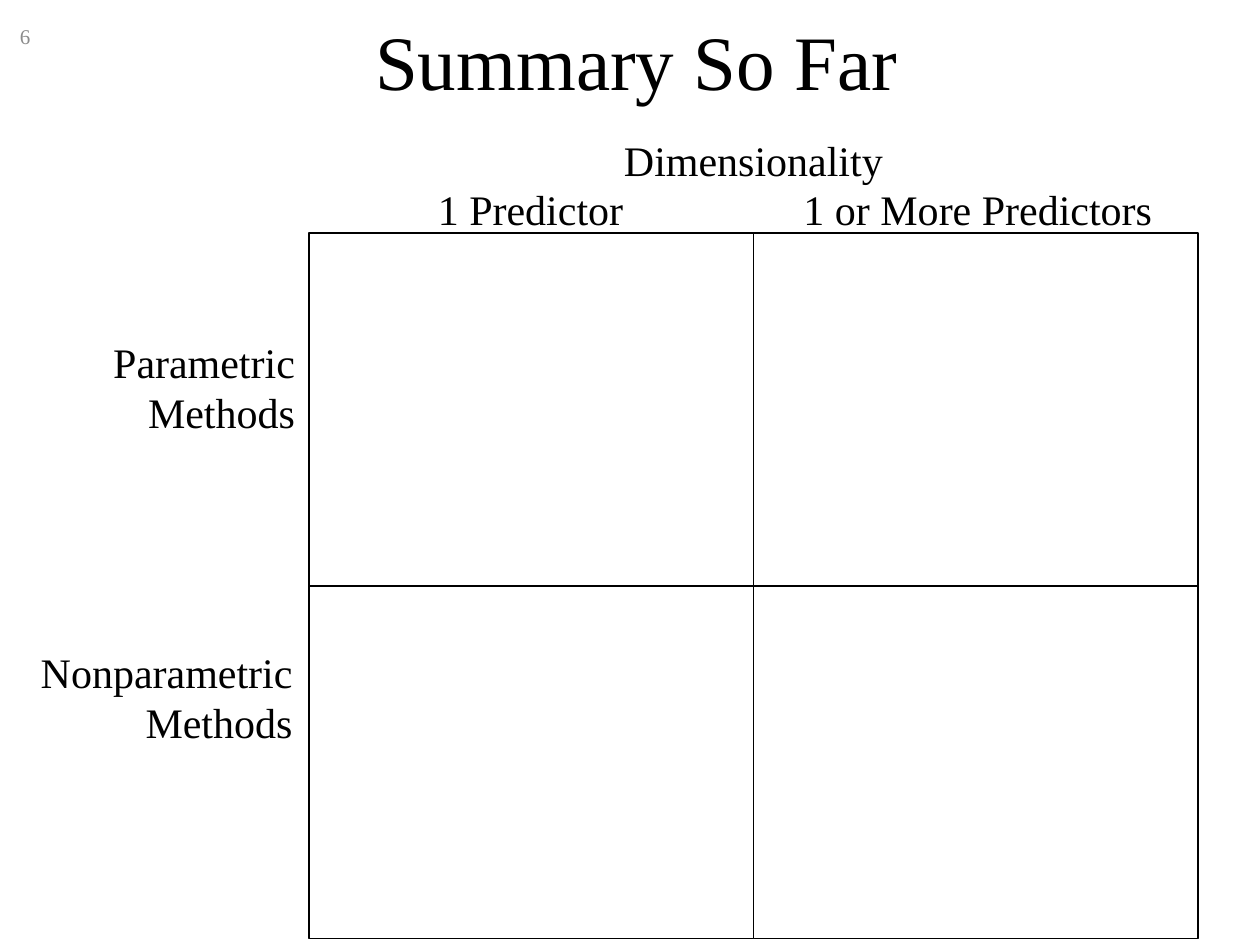
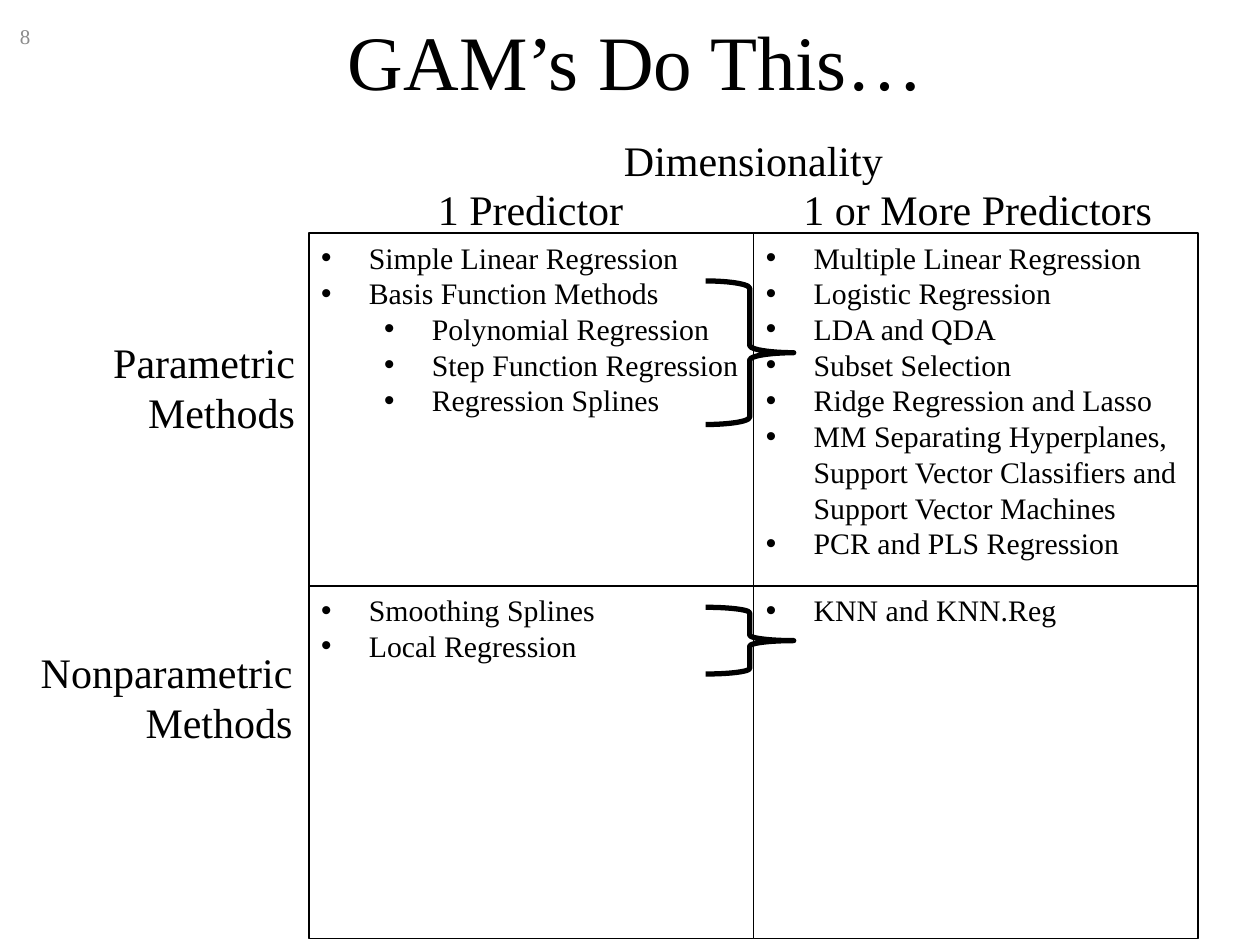
import pptx
import pptx.util
import pptx.dml.color
import pptx.enum.shapes
import pptx.enum.text
import pptx.oxml
import pptx.oxml.ns

Inches, Pt = pptx.util.Inches, pptx.util.Pt
RGB = pptx.dml.color.RGBColor
SHAPE = pptx.enum.shapes.MSO_SHAPE
ALIGN = pptx.enum.text.PP_ALIGN
ANCHOR = pptx.enum.text.MSO_ANCHOR

# Content: each cell lists (level, text), keyed by (row, column)
AXIS = "Dimensionality"
COLS = ["1 Predictor", "1 or More Predictors"]
ROWS = ["Parametric Methods", "Nonparametric Methods"]
SLIDES = [
    {"title": "Summary So Far", "num": "6", "cells": {}, "braces": []},
    {
        "title": "GAM’s Do This…",
        "num": "8",
        "cells": {
            (0, 0): [
                (0, "Simple Linear Regression"),
                (0, "Basis Function Methods"),
                (1, "Polynomial Regression"),
                (1, "Step Function Regression"),
                (1, "Regression Splines"),
            ],
            (0, 1): [
                (0, "Multiple Linear Regression"),
                (0, "Logistic Regression"),
                (0, "LDA and QDA"),
                (0, "Subset Selection"),
                (0, "Ridge Regression and Lasso"),
                (0, "MM Separating Hyperplanes, Support Vector "
                    "Classifiers and Support Vector Machines"),
                (0, "PCR and PLS Regression"),
            ],
            (1, 0): [(0, "Smoothing Splines"), (0, "Local Regression")],
            (1, 1): [(0, "KNN and KNN.Reg")],
        },
        "braces": [(2.23, 1.14), (4.82, 0.53)],  # top, height
    },
]

# Theme and layout, lengths in inches
THEME = {
    "font": "Times New Roman",
    "ink": RGB(0, 0, 0),
    "paper": RGB(255, 255, 255),
    "gray": RGB(0x8C, 0x8C, 0x8C),
    "title": 44, "label": 24, "item": 17, "num": 12,
    "edge": 1, "brace": 3,
}
LEFT, TOP, WIDE, HIGH = 2.45, 1.85, 3.53, 2.8
ROW_BOXES = [(0.66, 2.62, 1.78, 0.91), (0.22, 5.08, 2.2, 0.91)]
COL_BOXES = [(LEFT, 1.41, 3.52, 0.5), (6, 1.41, 3.52, 0.5)]
HANG, STEP = 0.38, 0.5


def style(para, size, align, color="ink"):
    para.alignment = align
    para.font.name = THEME["font"]
    para.font.size = Pt(THEME[size])
    para.font.color.rgb = THEME[color]


def place(shape, box):
    shape.left, shape.top, shape.width, shape.height = map(Inches, box)


def label(slide, text, box, align, size="label", color="ink",
          anchor=ANCHOR.TOP):
    frame = slide.shapes.add_textbox(*map(Inches, box)).text_frame
    frame.word_wrap = True
    frame.vertical_anchor = anchor
    frame.text = text
    style(frame.paragraphs[0], size, align, color)


def bullet(para, level):
    props = para._p.get_or_add_pPr()
    props.set("marL", str(Inches(HANG + STEP * level)))
    props.set("indent", str(Inches(-HANG)))
    for tag, key, val in [("buFont", "typeface", "Arial"),
                          ("buChar", "char", "•")]:
        node = pptx.oxml.ns.qn("a:" + tag)
        props.append(props.makeelement(node, {key: val}))


def outline(slide, kind, box, width):
    shape = slide.shapes.add_shape(kind, *map(Inches, box))
    shape.shadow.inherit = False
    shape.line.color.rgb = THEME["ink"]
    shape.line.width = Pt(THEME[width])
    return shape


def cell(slide, row, col, items):
    box = (LEFT + col * WIDE, TOP + row * HIGH, WIDE, HIGH)
    shape = outline(slide, SHAPE.RECTANGLE, box, "edge")
    shape.fill.solid()
    shape.fill.fore_color.rgb = THEME["paper"]
    frame = shape.text_frame
    frame.word_wrap = True
    frame.vertical_anchor = ANCHOR.TOP
    for i, (level, text) in enumerate(items):
        para = frame.add_paragraph() if i else frame.paragraphs[0]
        para.text = text
        para.level = level
        style(para, "item", ALIGN.LEFT)
        bullet(para, level)


def build(deck, data):
    slide = deck.slides.add_slide(deck.slide_layouts[5])
    # Title
    title = slide.shapes.title
    place(title, (0.8, 0.01, 8.5, 0.93))
    title.text_frame.text = data["title"]
    title.text_frame.vertical_anchor = ANCHOR.MIDDLE
    style(title.text_frame.paragraphs[0], "title", ALIGN.CENTER)
    # Grid
    for row in range(len(ROWS)):
        for col in range(len(COLS)):
            cell(slide, row, col, data["cells"].get((row, col), []))
    # Row and column labels
    for text, box in zip(ROWS, ROW_BOXES):
        label(slide, text, box, ALIGN.RIGHT)
    for text, box in zip(COLS, COL_BOXES):
        label(slide, text, box, ALIGN.CENTER)
    label(slide, AXIS, (LEFT, 1.02, 2 * WIDE, 0.5), ALIGN.CENTER)
    # Braces across the middle line
    for top, high in data["braces"]:
        brace = outline(slide, SHAPE.RIGHT_BRACE, (5.6, top, 0.7, high),
                        "brace")
        brace.fill.background()
    # Slide number
    label(slide, data["num"], (0, 0.09, 0.34, 0.4), ALIGN.RIGHT,
          "num", "gray", ANCHOR.MIDDLE)


deck = pptx.Presentation()
deck.slide_width, deck.slide_height = Inches(10), Inches(7.5)
for data in SLIDES:
    build(deck, data)
deck.save("out.pptx")
